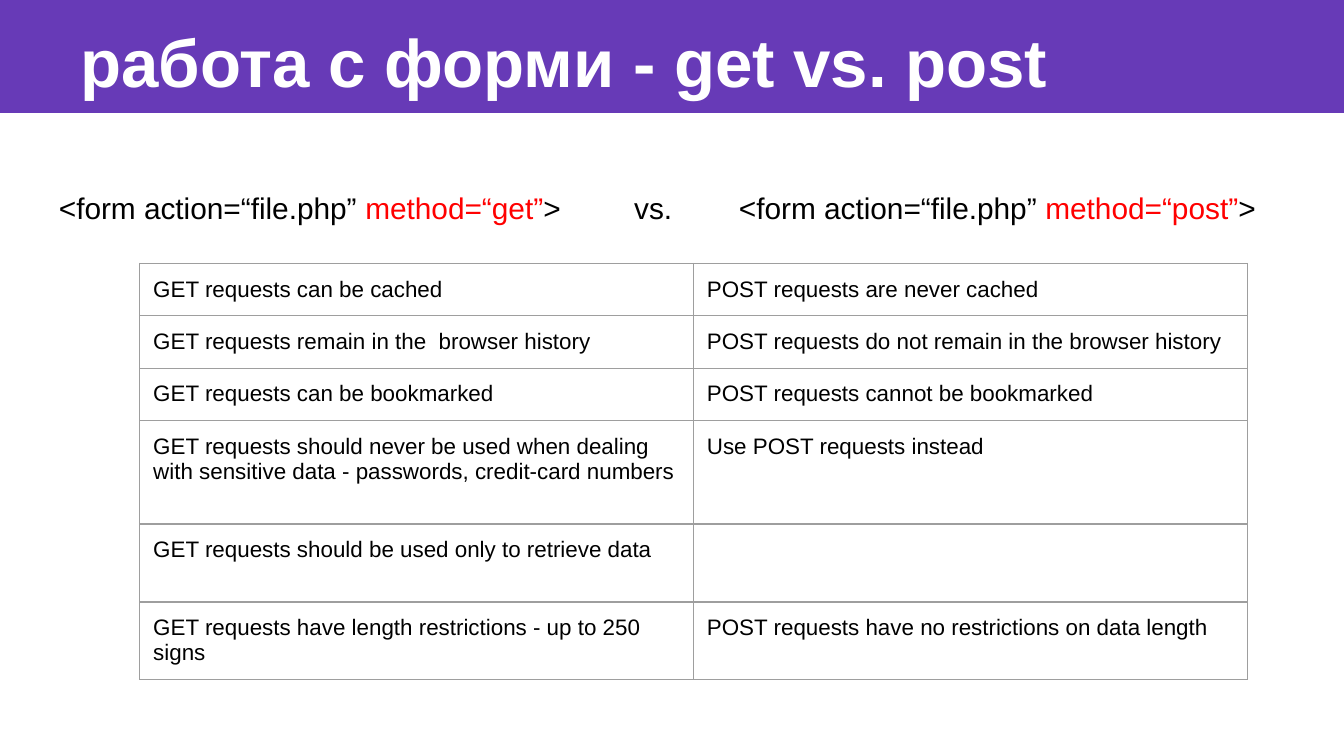
from pptx import Presentation
from pptx.dml.color import RGBColor
from pptx.enum.shapes import MSO_SHAPE
from pptx.enum.text import MSO_ANCHOR, MSO_AUTO_SIZE, PP_ALIGN
from pptx.oxml import parse_xml
from pptx.oxml.ns import nsdecls
from pptx.util import Inches, Pt


def rgb(value):
    return RGBColor.from_string(value)


def add_run(p, text, size, color, bold=False):
    r = p.add_run()
    r.text = text
    for name, value in dict(name="Arial", size=Pt(size), bold=bold).items():
        setattr(r.font, name, value)
    r.font.color.rgb = rgb(color)


prs = Presentation()
prs.slide_width = Inches(10)
prs.slide_height = prs.slide_width * 9 // 16
W, H = prs.slide_width, prs.slide_height
slide = prs.slides.add_slide(prs.slide_layouts[5])
shapes = slide.shapes
BLACK, RED, WHITE, PURPLE, GREY = "000000", "FF0000", "FFFFFF", "673AB7", "9E9E9E"
margins = {f"margin_{side}": Inches(0.1) for side in ("left", "right", "top", "bottom")}
bar_h = int(W * 0.084)

bar = shapes.add_shape(MSO_SHAPE.RECTANGLE, 0, 0, W, bar_h)
bar.shadow.inherit = False
bar.fill.solid()
bar.fill.fore_color.rgb = rgb(PURPLE)
bar.line.fill.background()
shapes._spTree.insert(2, bar._element)

title = shapes.title
title_box = dict(left=0, top=Inches(0.03), width=int(W * 0.991), height=bar_h)
for name, value in title_box.items():
    setattr(title, name, value)

body = shapes.add_textbox(int(W * 0.034), Inches(1.27), int(W * 0.932), Inches(3.74))
for sp, anchor in ((title, MSO_ANCHOR.MIDDLE), (body, MSO_ANCHOR.TOP)):
    fmt = dict(margins, word_wrap=True, auto_size=MSO_AUTO_SIZE.NONE, vertical_anchor=anchor)
    for name, value in fmt.items():
        setattr(sp.text_frame, name, value)

p = title.text_frame.paragraphs[0]
p.alignment = PP_ALIGN.LEFT
pPr = p._p.get_or_add_pPr()
pPr.set("marL", str(Inches(0.5)))
pPr.set("indent", "0")
add_run(p, "работа с форми - get vs. post", 36, WHITE, True)

p = body.text_frame.paragraphs[0]
p.line_spacing = 1.15
stops = "".join(f'<a:tab pos="{Inches(x)}" algn="l"/>' for x in (4.28, 5.06))
p._p.get_or_add_pPr().append(parse_xml(f'<a:tabLst {nsdecls("a")}>{stops}</a:tabLst>'))
form_tag = "<form action=“file.php” "
for text, color in (
    (form_tag, BLACK),
    ("method=“get”", RED),
    (">\tvs.\t" + form_tag, BLACK),
    ("method=“post”", RED),
    (">", BLACK),
):
    add_run(p, text, 16, color)

rows = [
    (0.39, "GET requests can be cached", "POST requests are never cached"),
    (0.39, "GET requests remain in the  browser history",
     "POST requests do not remain in the browser history"),
    (0.39, "GET requests can be bookmarked", "POST requests cannot be bookmarked"),
    (0.77, "GET requests should never be used when dealing with sensitive data"
     " - passwords, credit-card numbers", "Use POST requests instead"),
    (0.58, "GET requests should be used only to retrieve data", ""),
    (0.58, "GET requests have length restrictions - up to 250 signs",
     "POST requests have no restrictions on data length"),
]
table_h = Inches(sum(row[0] for row in rows))
table = shapes.add_table(len(rows), 2, int(W * 0.104), Inches(1.96),
                         int(W * 0.824), table_h).table
table.first_row = table.horz_banding = False
for row, (height, *texts) in zip(table.rows, rows):
    row.height = Inches(height)
    for cell, text in zip(row.cells, texts):
        for name, value in margins.items():
            setattr(cell, name, value)
        tcPr = cell._tc.get_or_add_tcPr()
        for side in ("lnL", "lnR", "lnT", "lnB"):
            tcPr.append(parse_xml(
                f'<a:{side} {nsdecls("a")} w="{Pt(0.75)}"><a:solidFill>'
                f'<a:srgbClr val="{GREY}"/></a:solidFill></a:{side}>'))
        cell.fill.background()
        if text:
            add_run(cell.text_frame.paragraphs[0], text, 12, BLACK)

prs.save("out.pptx")
